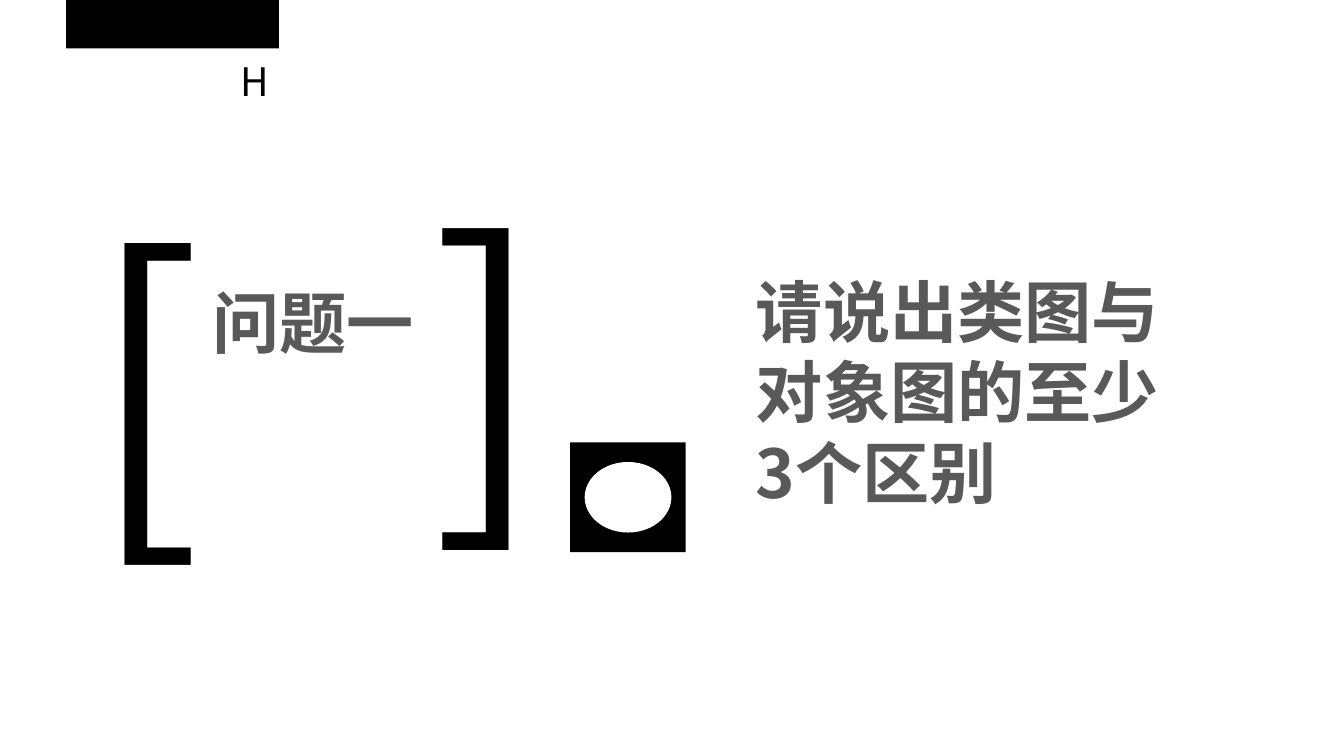
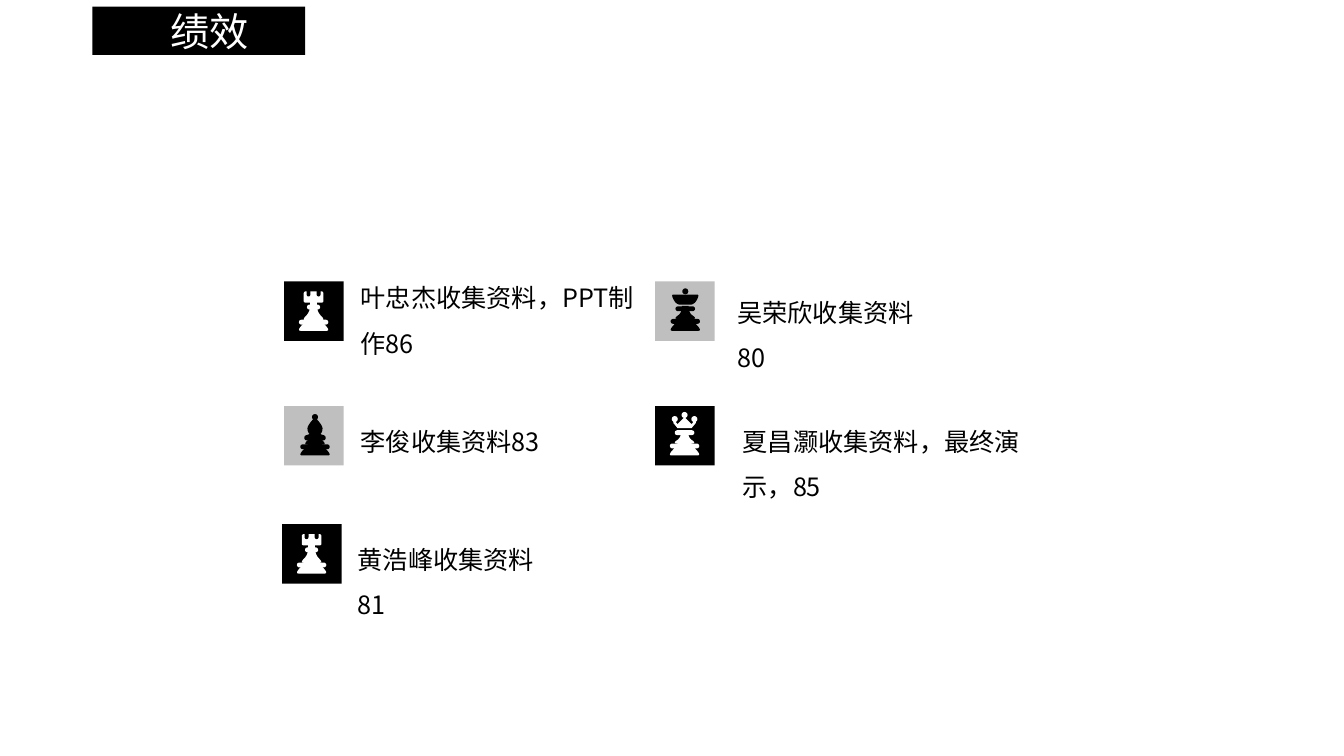
from lxml import etree
from pptx import Presentation
from pptx.dml.color import RGBColor
from pptx.enum import shapes, text
from pptx.oxml.ns import qn
from pptx.util import Pt

FONT = "Noto Sans CJK SC"
COLORS = {"black": "000000", "white": "FFFFFF", "gray": "BFBFBF", "body": "595959"}
BAR_SIZE = (152, 34.5)
TITLE_SIZE = (155.5, 41)
TILE = 42.5
PILL_HEIGHT, DOT = 3.5, 4.3

# Texts are (text, left, top, width, height) in points.
QUESTION = [
    ("问题一", 144.7, 197.3, 313.2, 65.5),
    ("请说出类图与对象图的至少3个区别", 532.8, 189.4, 313.2, 181.4),
]
BRACKETS = [(56.9, 121, 0), (301, 149.8, 180)]  # left, top, rotation
BRACKET_SIZE = (95, 296.6)

# Tile: piece, left, top, tile colour, piece colour; then its text box.
MEMBERS = [
    (("rook", 203, 201, "black", "white"),
     ("叶忠杰收集资料，PPT制作86", 250.6, 187.5, 213.8, 69)),
    (("bishop", 203, 290, "gray", "black"),
     ("李俊收集资料83", 250.6, 290.2, 213.8, 36)),
    (("rook", 201.6, 374.4, "black", "white"),
     ("黄浩峰收集资料81", 248.4, 374.4, 160, 69)),
    (("king", 468, 201, "gray", "black"),
     ("吴荣欣收集资料80", 519.6, 198, 160, 69)),
    (("queen", 468, 290, "black", "white"),
     ("夏昌灏收集资料，最终演示，85", 523.4, 290.2, 213.8, 69)),
]

# Half outlines: x from the axis of the piece, y from the top of the tile.
# A pair is a corner, a triple of pairs is a Bezier curve from the point before.
FOOT = [(0, 28.1), (3.6, 28.1), ((4.8, 28.1), (5.8, 28.8), (7.1, 29.6)), (8, 31),
        ((10, 33), (11.6, 35.3), (9.4, 35.3)), (0, 35.3)]
NARROW_SKIRT = [(0, 14), (2.4, 14), (2.4, 16.8),
                ((2.4, 24.5), (7, 24.5), (7, 27.4)), (0, 28.5)]
WIDE_SKIRT = [(0, 17.5), (2.4, 17.5), ((2.4, 25.4), (7, 23.9), (7, 26.6)), (0, 28)]
TOWER = [(0, 7.2), (2.2, 7.2), (2.2, 9.4), ((2.2, 9.4), (2.2, 10.8), (3.6, 10.8)),
         ((5, 10.8), (5, 9.4), (5, 9.4)), (5, 7.2), (5.8, 7.2),
         ((6.5, 7.2), (7, 7.8), (7, 8.6)), (7, 14), ((7, 14.8), (6.5, 15.1), (5.8, 15.1)),
         (0, 15.1)]
ARMS = [(0, 18.7), (6.3, 20.9), ((7.2, 21.2), (7.9, 22.2), (7.6, 23.3)),
        ((7.2, 24.5), (6.3, 24.7), (5.5, 24.5)), (0, 22.3)]
MITRE = [(0, 8), ((0, 8), (5.4, 13.5), (5.4, 16)), ((5.4, 20), (2.6, 21.6), (0, 21.6))]
CROWN = [(0, 7.9), (5, 13), (8, 9.4), (8, 12.2), (5, 15.8), (0, 15.8)]
BOWL = [(0, 9.4), (8.6, 9.4), ((10, 9.4), (9.2, 11.8), (8, 13.7)), (7, 15.1),
        ((6, 16), (5, 16.6), (4, 16.6)), (0, 16.6)]

# Pills are (width, top), dots are (centre from the axis, top).
PIECES = {
    "rook": dict(axis=21, halves=[FOOT, NARROW_SKIRT, TOWER],
                 pills=[(21, 27.4), (9.4, 16.6)], dots=[]),
    "bishop": dict(axis=22, halves=[FOOT, NARROW_SKIRT, ARMS, MITRE],
                   pills=[(21, 27.4)], dots=[(0, 5.8)]),
    "queen": dict(axis=21, halves=[FOOT, WIDE_SKIRT, CROWN],
                  pills=[(21, 26.8), (14, 17.3)], dots=[(0, 4.3), (-7, 7.2), (7, 7.2)]),
    "king": dict(axis=21.5, halves=[FOOT, WIDE_SKIRT, BOWL],
                 pills=[(21, 26.8), (14, 17.8)], dots=[(0, 5)]),
}


def rgb(name):
    return RGBColor.from_string(COLORS[name])


def paint(sp, color):
    sp.shadow.inherit = False
    sp.fill.solid()
    sp.fill.fore_color.rgb = rgb(color)
    sp.line.fill.background()
    return sp


def add_preset(parent, kind, left, top, width, height, color):
    sp = parent.shapes.add_shape(kind, Pt(left), Pt(top), Pt(width), Pt(height))
    return paint(sp, color)


def add_text(slide, content, left, top, width, height, size=18, color="black",
             bold=False, align=text.PP_ALIGN.LEFT, spacing=1.0, wrap=True, rotation=0):
    sp = slide.shapes.add_textbox(Pt(left), Pt(top), Pt(width), Pt(height))
    sp.rotation = rotation
    tf = sp.text_frame
    tf.word_wrap = wrap
    tf.auto_size = text.MSO_AUTO_SIZE.SHAPE_TO_FIT_TEXT
    p = tf.paragraphs[0]
    p.alignment = align
    p.line_spacing = spacing
    r = p.add_run()
    r.text = content
    r.font.size, r.font.bold, r.font.name = Pt(size), bold, FONT
    r.font.color.rgb = rgb(color)
    etree.SubElement(r.font._element, qn("a:ea"), typeface=FONT)
    return sp


def flatten(outline, steps=8):
    """Turn corners and Bezier curves into a list of points."""
    points = []
    for part in outline:
        if not isinstance(part[0], tuple):
            points.append(part)
            continue
        curve = (points[-1],) + part
        for i in range(1, steps + 1):
            t = i / steps
            weights = ((1 - t) ** 3, 3 * t * (1 - t) ** 2, 3 * t * t * (1 - t), t ** 3)
            points.append(tuple(sum(w * c[k] for w, c in zip(weights, curve))
                                for k in (0, 1)))
    return points


def add_mirrored(parent, half, axis, top, color):
    right = flatten(half)
    points = right + [(-x, y) for x, y in reversed(right)]
    (x0, y0), *rest = [(Pt(axis + x), Pt(top + y)) for x, y in points]
    builder = parent.shapes.build_freeform(x0, y0)
    builder.add_line_segments(rest, close=True)
    paint(builder.convert_to_shape(), color)


def add_piece(slide, name, left, top, tile_color, color):
    """Draw a chess piece on a square tile as one group."""
    group = slide.shapes.add_group_shape()
    kinds = shapes.MSO_SHAPE
    add_preset(group, kinds.RECTANGLE, left, top, TILE, TILE, tile_color)
    piece = PIECES[name]
    axis = left + piece["axis"]
    for half in piece["halves"]:
        add_mirrored(group, half, axis, top, color)
    for width, y in piece["pills"]:
        pill = add_preset(group, kinds.ROUNDED_RECTANGLE, axis - width / 2, top + y,
                          width, PILL_HEIGHT, color)
        pill.adjustments[0] = 0.5
    for dx, y in piece["dots"]:
        add_preset(group, kinds.OVAL, axis + dx - DOT / 2, top + y, DOT, DOT, color)


def add_slide(prs, title, bar_at, title_at, title_color):
    slide = prs.slides.add_slide(prs.slide_layouts[6])
    add_preset(slide, shapes.MSO_SHAPE.RECTANGLE, *bar_at, *BAR_SIZE, "black")
    add_text(slide, title, *title_at, *TITLE_SIZE, size=28, color=title_color,
             align=text.PP_ALIGN.RIGHT)
    return slide


def build_question(prs):
    slide = add_slide(prs, "H", (47.2, 0), (43.9, 37.6), "black")
    for left, top, rotation in BRACKETS:
        add_text(slide, "[", left, top, *BRACKET_SIZE, size=239, wrap=False,
                 align=text.PP_ALIGN.CENTER, rotation=rotation)
    add_preset(slide, shapes.MSO_SHAPE.RECTANGLE, 407.2, 316, 82.6, 78.4, "black")
    add_preset(slide, shapes.MSO_SHAPE.OVAL, 417.6, 330, 62, 50.4, "white")
    for item in QUESTION:
        add_text(slide, *item, size=48, color="body", bold=True)


def build_members(prs):
    slide = add_slide(prs, "绩效", (66, 4.7), (29.5, 1.4), "white")
    for tile, label in MEMBERS:
        add_piece(slide, *tile)
        add_text(slide, *label, spacing=1.5)


def main():
    prs = Presentation()
    prs.slide_width, prs.slide_height = Pt(960), Pt(540)
    build_question(prs)
    build_members(prs)
    prs.save("out.pptx")


if __name__ == "__main__":
    main()
